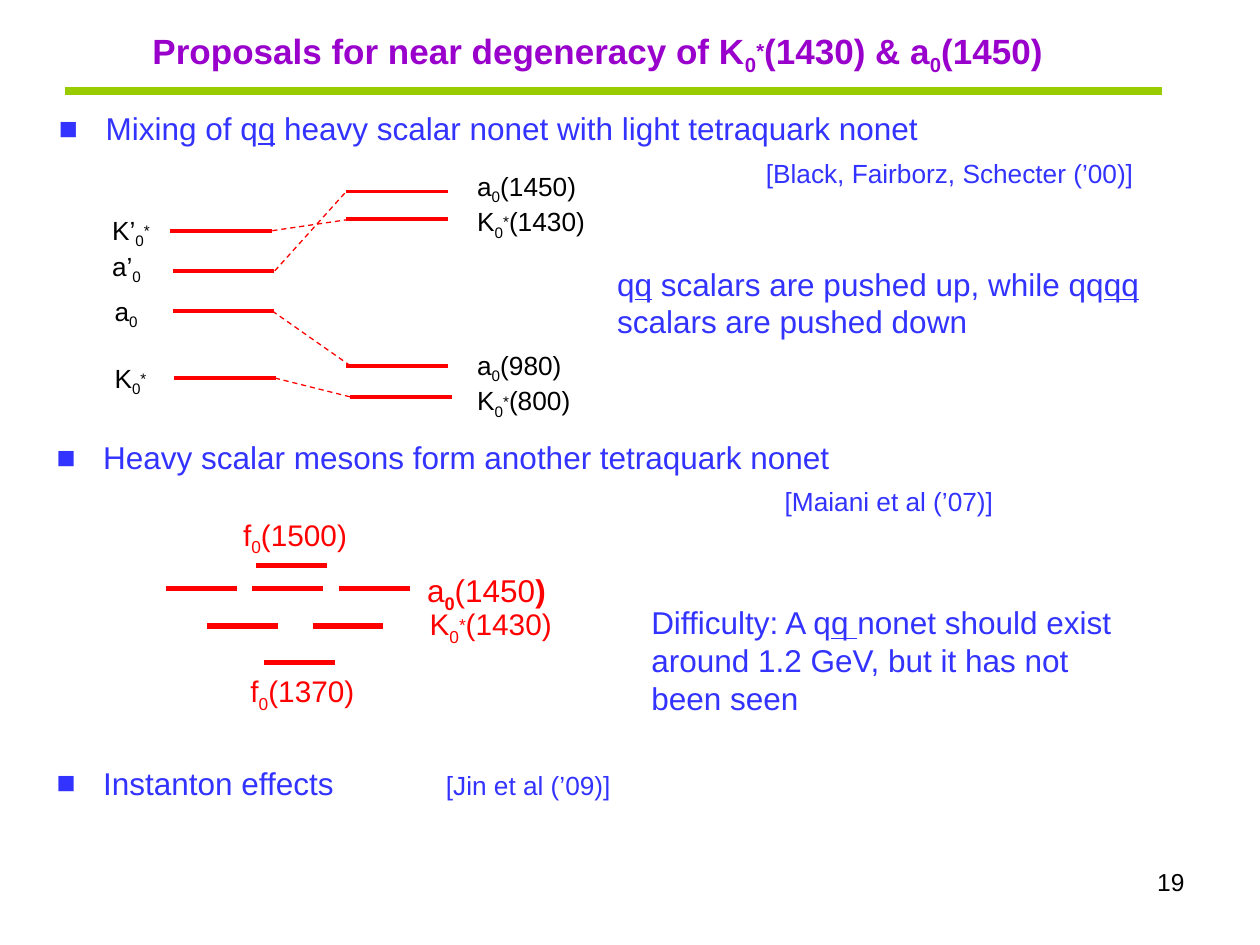
from dataclasses import dataclass

from lxml.etree import SubElement
from pptx import Presentation
from pptx.dml.color import RGBColor
from pptx.enum.dml import MSO_LINE
from pptx.enum.shapes import MSO_CONNECTOR
from pptx.enum.text import MSO_ANCHOR, MSO_AUTO_SIZE, PP_ALIGN
from pptx.oxml.ns import qn
from pptx.util import Cm, Pt


@dataclass(frozen=True)
class Theme:
    """Colours, font and type sizes of the slide."""
    font: str = "Arial"
    purple: RGBColor = RGBColor(0x99, 0x00, 0xCC)
    green: RGBColor = RGBColor(0x99, 0xCC, 0x00)
    blue: RGBColor = RGBColor(0x33, 0x33, 0xFF)
    red: RGBColor = RGBColor(0xFF, 0x00, 0x00)
    black: RGBColor = RGBColor(0x00, 0x00, 0x00)
    white: RGBColor = RGBColor(0xFF, 0xFF, 0xFF)
    title: int = 20
    body: int = 18
    state: int = 17
    label: int = 15
    number: int = 14


THEME = Theme()
BASELINES = {"sub": "-25000", "sup": "15000"}


def meson(symbol, mass=""):
    """Return the spans of a scalar meson name; kaons carry a star."""
    spans = [(symbol, ""), ("0", "sub")]
    if symbol.startswith("K"):
        spans.append(("*", "sup"))
    return spans + ([(f"({mass})", "")] if mass else [])


def add_spans(para, spans, size, color, bold=False):
    """Write styled (text, style words) spans into a paragraph."""
    for text, style in spans:
        words = style.split()
        span = para.add_run()
        span.text = text
        span.font.name = THEME.font
        span.font.size = Pt(size)
        span.font.color.rgb = color
        span.font.bold = bold or "bold" in words
        span.font.underline = "under" in words
        for word in words:
            if word in BASELINES:
                span.font._element.set("baseline", BASELINES[word])


def place_text(box, place, lines, size, color, bold=False, gap=0):
    """Position a text shape and fill it with one paragraph per line."""
    box.left, box.top, box.width, box.height = map(Cm, place)
    frame = box.text_frame
    frame.word_wrap = True
    frame.auto_size = MSO_AUTO_SIZE.SHAPE_TO_FIT_TEXT
    frame.vertical_anchor = MSO_ANCHOR.TOP
    for index, spans in enumerate(lines):
        para = frame.add_paragraph() if index else frame.paragraphs[0]
        para.alignment = PP_ALIGN.LEFT
        para.space_before = Pt(gap if index else 0)
        add_spans(para, spans, size, color, bold)


def add_text(page, place, lines, size, color, gap=0):
    """Add a text box and return it."""
    box = page.shapes.add_textbox(*map(Cm, place))
    place_text(box, place, lines, size, color, gap=gap)
    return box


def add_bullet(page, left, top, spans):
    """Add a full-width line with a square bullet and hanging indent."""
    box = add_text(page, (left, top, 23.22, 1.02), [spans], THEME.body, THEME.blue)
    properties = box.text_frame.paragraphs[0]._p.get_or_add_pPr()
    properties.set("marL", str(Cm(0.94)))
    properties.set("indent", str(-Cm(0.94)))
    color = SubElement(properties, qn("a:buClr"))
    SubElement(color, qn("a:srgbClr")).set("val", str(THEME.blue))
    SubElement(properties, qn("a:buFont")).set("typeface", THEME.font)
    SubElement(properties, qn("a:buChar")).set("char", "■")


def add_line(page, start, end, color, weight, dashed=False):
    """Draw a straight connector without a shadow."""
    line = page.shapes.add_connector(MSO_CONNECTOR.STRAIGHT, *map(Cm, start + end))
    line.line.color.rgb = color
    line.line.width = Pt(weight)
    if dashed:
        line.line.dash_style = MSO_LINE.DASH
    SubElement(line._element.spPr, qn("a:effectLst"))


def add_levels(page, starts, length, weight):
    """Draw horizontal energy levels of one length."""
    for left, top in starts:
        add_line(page, (left, top), (left + length, top), THEME.red, weight)


def add_heading(page):
    """Fill the title and draw the rule below it."""
    spans = [("Proposals for near degeneracy of ", ""), *meson("K", "1430"),
             (" & ", ""), *meson("a", "1450")]
    place_text(page.shapes.title, (2.82, 0.46, 20.6, 1.22), [spans],
               THEME.title, THEME.purple, bold=True)
    add_line(page, (1.32, 1.83), (23.42, 1.83), THEME.green, 4.5)


def add_mixing_diagram(page):
    """Draw the levels before and after mixing, with their labels."""
    add_levels(page, [(3.43, 4.65), (3.48, 5.46), (3.48, 6.27), (3.51, 7.62),
                      (6.98, 3.86), (6.98, 4.42), (6.98, 7.37), (7.06, 8)], 2.05, 2.25)
    links = [((5.54, 5.46), (6.98, 3.86)), ((5.49, 4.65), (7.06, 4.42)),
             ((5.49, 6.27), (7.06, 7.37)), ((5.54, 7.62), (7.06, 8))]
    for start, end in links:
        add_line(page, start, end, THEME.red, 0.75, dashed=True)
    labels = [
        ((9.37, 6.91, 3.15, 1.7), [meson("a", "980"), meson("K", "800")], 0),
        ((9.37, 3.3, 3.66, 1.7), [meson("a", "1450"), meson("K", "1430")], 0),
        ((2.01, 4.19, 3.12, 1.7), [meson("K’"), meson("a’")], 0),
        ((2.06, 5.82, 1.96, 2.34), [meson("a"), meson("K")], 18),
    ]
    for place, lines, gap in labels:
        add_text(page, place, lines, THEME.label, THEME.black, gap)


def add_nonet_diagram(page):
    """Draw the heavy tetraquark nonet with its state names."""
    add_levels(page, [(5.16, 11.4), (3.35, 11.86), (5.08, 11.86), (6.83, 11.86),
                      (4.17, 12.62), (6.3, 12.62), (5.33, 13.36)], 1.43, 3)
    isovector = [("a", ""), ("0", "sub bold"), ("(1450", ""), (")", "bold")]
    box = add_text(page, (8.36, 11.61, 3.12, 0.79), [isovector], THEME.body, THEME.red)
    box.fill.solid()
    box.fill.fore_color.rgb = THEME.white
    box.text_frame.paragraphs[0].line_spacing = 0.6
    for left, top, symbol, mass in [(4.8, 13.44, "f", "1370"), (4.65, 10.29, "f", "1500"),
                                    (8.41, 12.09, "K", "1430")]:
        add_text(page, (left, top, 6.83, 1.09), [meson(symbol, mass)],
                 THEME.state, THEME.red)


def add_statements(page):
    """Write the bullets, citations and remarks."""
    add_bullet(page, 0.94, 2.08, [("Mixing of q", ""), ("q", "under"),
                                  (" heavy scalar nonet with light tetraquark nonet", "")])
    add_bullet(page, 0.89, 8.71,
               [("Heavy scalar mesons form another tetraquark nonet", "")])
    add_bullet(page, 0.89, 15.27, [("Instanton effects", "")])
    citations = [(15.19, 3.05, 10.2, "[Black, Fairborz, Schecter (’00)]"),
                 (15.57, 9.65, 6.32, "[Maiani et al (’07)]"),
                 (8.74, 15.39, 6.32, "[Jin et al (’09)]")]
    for left, top, width, text in citations:
        add_text(page, (left, top, width, 0.89), [[(text, "")]], THEME.label, THEME.blue)
    remarks = [
        ((12.19, 5.21, 12.12, 1.78),
         [("q", ""), ("q", "under"), (" scalars are pushed up, while qq", ""),
          ("qq", "under"), (" scalars are pushed down", "")]),
        ((12.88, 12.04, 10.08, 2.54),
         [("Difficulty: A q", ""), ("q ", "under"),
          ("nonet should exist around 1.2 GeV, but it has not been seen", "")]),
    ]
    for place, spans in remarks:
        add_text(page, place, [spans], THEME.body, THEME.blue)


def add_page_number(page):
    """Write the page number at the lower right."""
    box = add_text(page, (18.21, 17.35, 5.92, 1.32), [[("19", "")]],
                   THEME.number, THEME.black)
    box.text_frame.auto_size = MSO_AUTO_SIZE.NONE
    box.text_frame.paragraphs[0].alignment = PP_ALIGN.RIGHT


def main():
    """Build and save the slide."""
    deck = Presentation()
    deck.slide_width, deck.slide_height = Cm(25.4), Cm(19.05)
    page = deck.slides.add_slide(deck.slide_layouts[5])
    add_heading(page)
    add_statements(page)
    add_mixing_diagram(page)
    add_nonet_diagram(page)
    add_page_number(page)
    deck.save("out.pptx")


if __name__ == "__main__":
    main()
